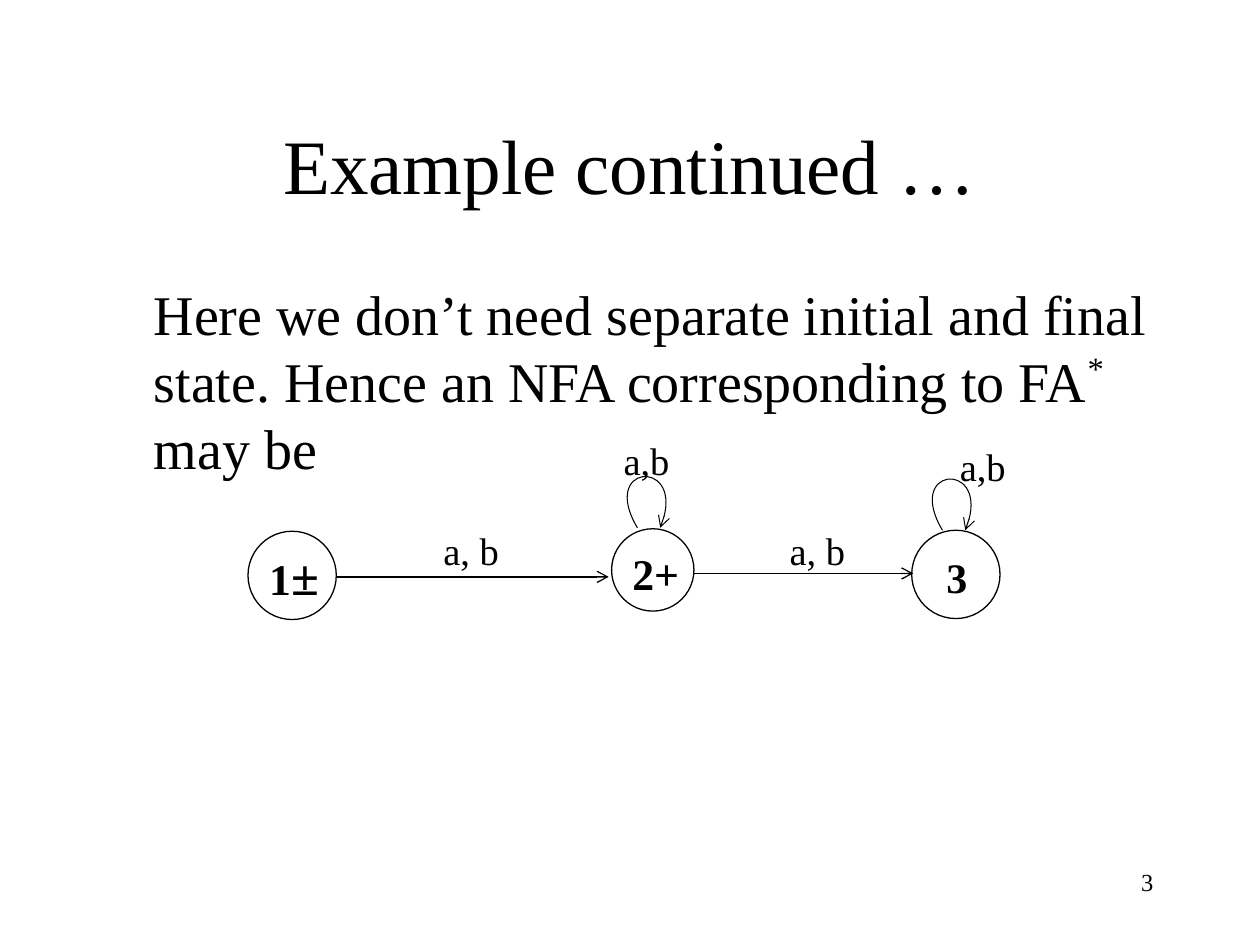
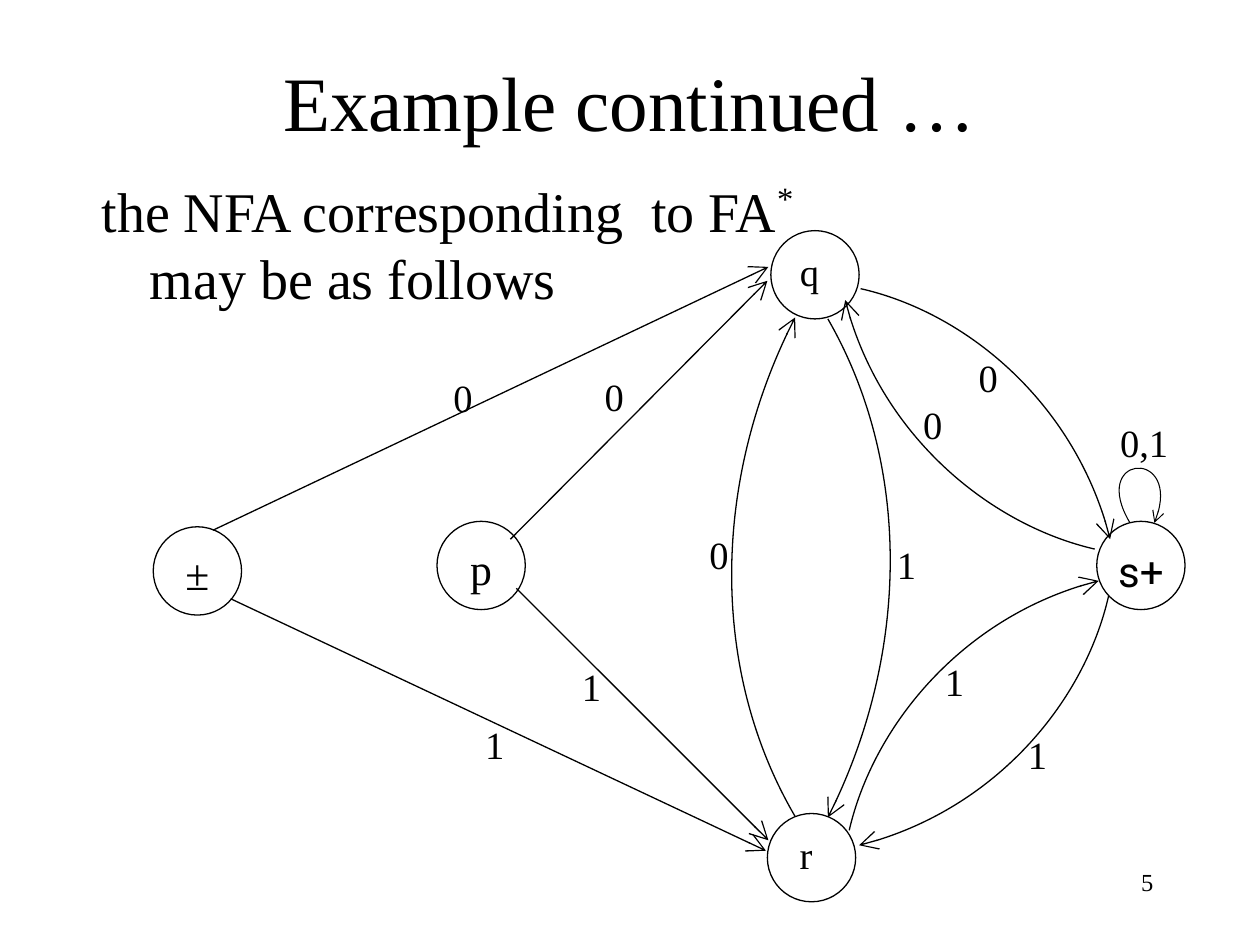
from dataclasses import dataclass

from lxml.etree import SubElement
from pptx import Presentation
from pptx.dml.color import RGBColor
from pptx.enum.shapes import MSO_CONNECTOR, MSO_SHAPE
from pptx.enum.text import MSO_ANCHOR, PP_ALIGN
from pptx.oxml.ns import qn
from pptx.util import Cm, Pt

COLORS = {"ink": "000000", "paper": "FFFFFF"}
SERIF = "Times New Roman"
TITLE = {"size": Pt(44)}
BODY = {"size": Pt(32)}
LABEL = {"size": Pt(22)}
NUMBER = {"size": Pt(14)}
INSETS = {"margin_left": Cm(0.25), "margin_right": Cm(0.25),
          "margin_top": Cm(0.13), "margin_bottom": Cm(0.13)}
LOOP = [(0, 0), (-0.76, -1.27), (1.04, -1.42), (0.46, 0)]


@dataclass
class Box:
    """A region of the page, in centimetres."""
    left: float
    top: float
    width: float = 0
    height: float = 0

    def point(self, x, y):
        return Cm(self.left + x), Cm(self.top + y)

    def frame(self):
        return Cm(self.left), Cm(self.top), Cm(self.width), Cm(self.height)


@dataclass
class State:
    """A circle given by its centre; shift moves its name off the middle."""
    name: str
    center: tuple
    size: float = 25
    bold: bool = False
    font: str = SERIF
    diameter: float = 1.78
    shift: tuple = (0, 0)


@dataclass
class Automaton:
    """Routes of two points are straight, routes of four are Bézier curves."""
    states: list
    routes: list
    loops: list
    labels: list
    head: str = "med"
    loop_scale: float = 1


def color(name):
    return RGBColor.from_string(COLORS[name])


def apply(target, values):
    for name, value in values.items():
        setattr(target, name, value)


def add_span(para, text, style, baseline=0):
    span = para.add_run()
    span.text = text
    apply(span.font, {"name": SERIF, **style})
    span.font.color.rgb = color("ink")
    if baseline:
        span.font.element.set("baseline", str(baseline * 1000)) if hasattr(
            span.font, "element") else span._r.get_or_add_rPr().set(
            "baseline", str(baseline * 1000))


def add_text(page, box, text, style, align=PP_ALIGN.LEFT):
    frame = page.shapes.add_textbox(*box.frame()).text_frame
    apply(frame, {"word_wrap": True, **INSETS})
    para = frame.paragraphs[0]
    para.alignment = align
    if text:
        add_span(para, text, style)
    return para


def add_title(page, box, text):
    title = page.shapes.title
    apply(title, dict(zip(("left", "top", "width", "height"), box.frame())))
    frame = title.text_frame
    apply(frame, {"vertical_anchor": MSO_ANCHOR.MIDDLE, "word_wrap": True, **INSETS})
    para = frame.paragraphs[0]
    para.alignment = PP_ALIGN.CENTER
    add_span(para, text, TITLE)


def add_body(page, box, before, after, margin, indent=0, line_break=False):
    """A sentence with a raised star between its two parts."""
    para = add_text(page, box, before, BODY)
    para.space_before = Pt(8)
    properties = para._p.get_or_add_pPr()
    properties.set("marL", str(Cm(margin)))
    properties.set("indent", str(Cm(indent)))
    add_span(para, "*", BODY, baseline=40)
    if line_break:
        para.add_line_break()
    add_span(para, after, BODY)


def add_state(page, box, state):
    radius = state.diameter / 2
    x, y = state.center
    circle = page.shapes.add_shape(
        MSO_SHAPE.OVAL, *box.point(x - radius, y - radius),
        Cm(state.diameter), Cm(state.diameter))
    circle.shadow.inherit = False
    circle.fill.solid()
    circle.fill.fore_color.rgb = color("paper")
    circle.line.color.rgb = color("ink")
    circle.line.width = Pt(0.75)
    across, down = state.shift
    frame = circle.text_frame
    apply(frame, {"word_wrap": False, "vertical_anchor": MSO_ANCHOR.MIDDLE,
                  "margin_left": Cm(0.2 + across), "margin_right": Cm(0.2 - across),
                  "margin_top": Cm(0.1 + down), "margin_bottom": Cm(0.1 - down)})
    para = frame.paragraphs[0]
    para.alignment = PP_ALIGN.CENTER
    for letter in state.name:
        size = 29 if letter == "±" and state.bold else state.size
        add_span(para, letter, {"size": Pt(size), "bold": state.bold, "name": state.font})


def add_curve(page, points):
    """A freeform whose three segments become one cubic Bézier curve."""
    builder = page.shapes.build_freeform(*points[0], scale=1.0)
    builder.add_line_segments(points[1:], close=False)
    curve = builder.convert_to_shape()
    curve.fill.background()
    outline = curve.element.spPr.find(".//" + qn("a:path"))
    bezier = SubElement(outline, qn("a:cubicBezTo"))
    for segment in outline.findall(qn("a:lnTo")):
        bezier.append(segment[0])
        outline.remove(segment)
    return curve


def add_route(page, box, route, head, width=0.75):
    points = [box.point(*spot) for spot in route]
    if len(points) == 2:
        edge = page.shapes.add_connector(MSO_CONNECTOR.STRAIGHT, *points[0], *points[1])
    else:
        edge = add_curve(page, points)
    edge.line.color.rgb = color("ink")
    edge.line.width = Pt(width)
    properties = edge.element.spPr
    SubElement(properties.find(qn("a:ln")), qn("a:tailEnd"), type="arrow", w=head, len=head)
    SubElement(properties, qn("a:effectLst"))


def add_automaton(page, box, automaton):
    for state in automaton.states:
        add_state(page, box, state)
    for route in automaton.routes:
        add_route(page, box, route, automaton.head)
    for x, y in automaton.loops:
        scale = automaton.loop_scale
        loop = [(x + scale * across, y + scale * down) for across, down in LOOP]
        add_route(page, box, loop, "med", 0.6)
    for text, x, y in automaton.labels:
        add_text(page, Box(box.left + x, box.top + y, 2.3, 1.2), text, LABEL)


def add_page(deck, title_top, number):
    page = deck.slides.add_slide(deck.slide_layouts[5])
    add_title(page, Box(1.9, title_top, 21.6, 3.18), "Example continued …")
    add_text(page, Box(18.2, 17.35, 5.3, 1.27), number, NUMBER, PP_ALIGN.RIGHT)
    return page


THREE_STATES = Automaton(
    states=[
        State("1±", (0.89, 3.1), bold=True, shift=(0.04, 0)),
        State("2+", (8.16, 2.99), bold=True, diameter=1.66, shift=(0.06, 0.06)),
        State("3", (14.27, 3.08), size=24, bold=True, shift=(0.02, 0.04)),
    ],
    routes=[
        [(1.78, 3.13), (7.27, 3.13)],
        [(8.97, 3.06), (13.41, 3.06)],
    ],
    loops=[(7.85, 2.14), (14, 2.19)],
    labels=[("a, b", 3.69, 1.99), ("a, b", 10.67, 1.99),
            ("a,b", 7.32, 0.19), ("a,b", 14.1, 0.31)],
)

FIVE_STATES = Automaton(
    states=[
        State("±", (0.98, 7.01), shift=(0, 0.05)),
        State("p", (6.7, 6.9), shift=(0, 0.05)),
        State("q", (13.43, 1.04), size=22, shift=(-0.11, -0.08)),
        State("r", (13.36, 12.79), size=22, shift=(-0.11, -0.08)),
        State("s+", (20, 6.9), size=24, font="Roboto", shift=(0, 0.1)),
    ],
    routes=[
        [(1.29, 6.19), (12.49, 0.88)],
        [(1.65, 7.57), (12.44, 12.65)],
        [(7.29, 6.37), (12.47, 1.16)],
        [(7.41, 7.36), (12.49, 12.44)],
        [(13.69, 1.93), (15.34, 4.8), (15.34, 8.73), (13.69, 11.98)],
        [(13.03, 11.96), (11.35, 9.09), (11.35, 5.15), (13.03, 1.9)],
        [(19.07, 6.57), (16.99, 6.09), (14.7, 4.21), (14.04, 1.55)],
        [(14.35, 1.32), (16.46, 1.8), (18.72, 3.7), (19.38, 6.37)],
        [(14.12, 12.24), (14.6, 10.16), (16.48, 7.87), (19.15, 7.21)],
        [(19.35, 7.51), (18.87, 9.62), (16.99, 11.88), (14.32, 12.54)],
    ],
    loops=[(19.78, 6.04)],
    labels=[
        ("0", 5.89, 2.92), ("0", 8.94, 2.89), ("0", 11.05, 6.07),
        ("0", 15.36, 3.45), ("0", 16.48, 2.51), ("0,1", 19.33, 3.81),
        ("1", 6.53, 9.9), ("1", 8.48, 8.73), ("1", 14.83, 6.27),
        ("1", 15.8, 8.63), ("1", 17.47, 10.11),
    ],
    head="lg",
    loop_scale=1.07,
)


def add_three_state_page(deck):
    page = add_page(deck, 1.7, "3")
    add_body(page, Box(1.9, 5.5, 21.6, 11.43),
             "Here we don’t need separate initial and final state. "
             "Hence an NFA corresponding to FA", " may be", margin=0.95)
    add_automaton(page, Box(5, 8.5), THREE_STATES)


def add_five_state_page(deck):
    page = add_page(deck, 0.43, "5")
    add_body(page, Box(0.84, 3.43, 21.6, 12.5), "the NFA corresponding  to FA",
             "may be as follows", margin=1.93, indent=-0.97, line_break=True)
    add_automaton(page, Box(3, 4.5), FIVE_STATES)


def main():
    deck = Presentation()
    deck.slide_width, deck.slide_height = Cm(25.4), Cm(19.05)
    add_three_state_page(deck)
    add_five_state_page(deck)
    deck.save("out.pptx")


if __name__ == "__main__":
    main()
